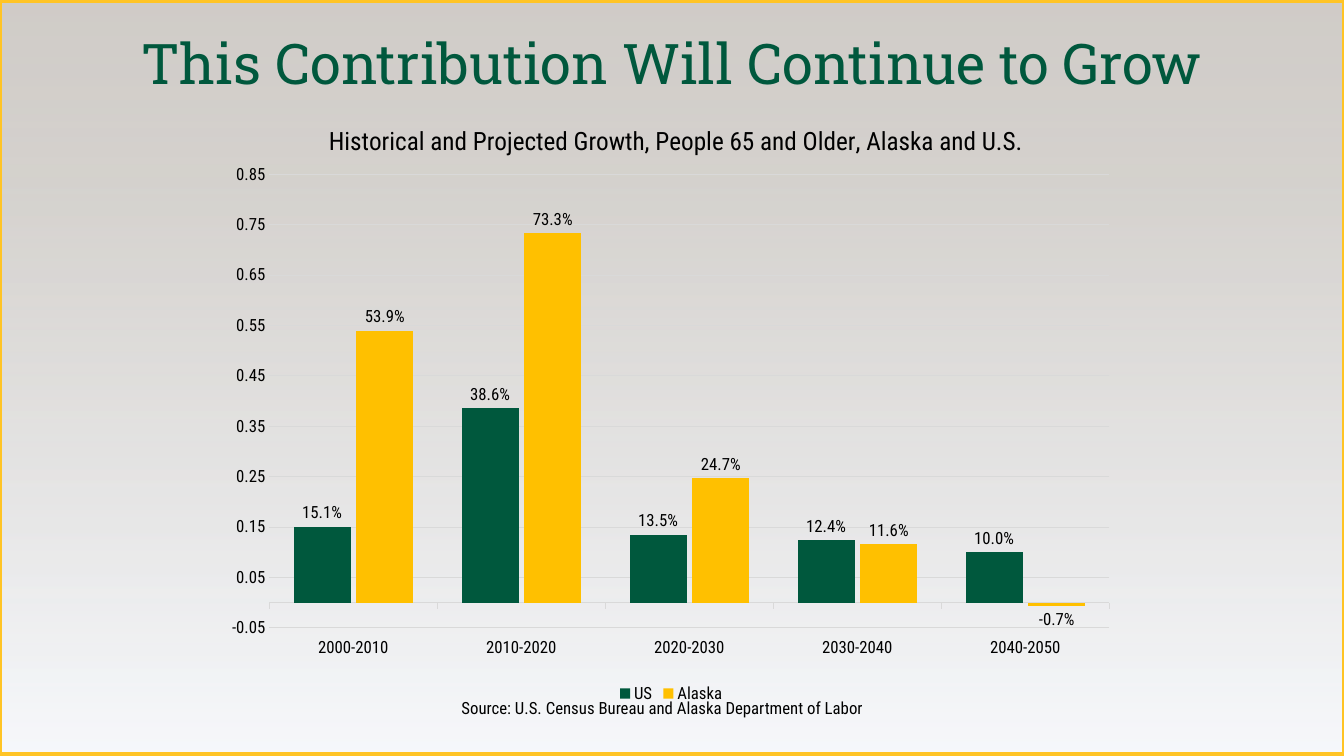
"""Build a slide comparing growth of the 65 and older population in Alaska and the U.S."""
from dataclasses import dataclass

from lxml import etree
from pptx import Presentation
from pptx.chart.data import CategoryChartData
from pptx.dml.color import RGBColor
from pptx.enum.chart import (XL_CHART_TYPE, XL_LABEL_POSITION, XL_LEGEND_POSITION,
                             XL_TICK_LABEL_POSITION, XL_TICK_MARK)
from pptx.enum.shapes import MSO_SHAPE
from pptx.enum.text import MSO_ANCHOR, MSO_AUTO_SIZE, PP_ALIGN
from pptx.oxml import parse_xml
from pptx.oxml.ns import nsdecls, qn
from pptx.util import Cm, Pt

COLUMNS = XL_CHART_TYPE.COLUMN_CLUSTERED
OUTSIDE_END = XL_LABEL_POSITION.OUTSIDE_END
LEGEND_BOTTOM = XL_LEGEND_POSITION.BOTTOM
LABELS_LOW = XL_TICK_LABEL_POSITION.LOW
TICK_NONE, TICK_OUTSIDE = XL_TICK_MARK.NONE, XL_TICK_MARK.OUTSIDE
RECTANGLE = MSO_SHAPE.RECTANGLE
BOTTOM, TOP = MSO_ANCHOR.BOTTOM, MSO_ANCHOR.TOP
CENTER, LEFT = PP_ALIGN.CENTER, PP_ALIGN.LEFT
FIT_NONE, FIT_SHAPE = MSO_AUTO_SIZE.NONE, MSO_AUTO_SIZE.SHAPE_TO_FIT_TEXT

BODY_FONT, TITLE_FONT = "Roboto Condensed", "Roboto Slab"
GREEN, GOLD, BORDER, GRID, BLACK = "00583D", "FFC000", "FFC425", "D9D9D9", "000000"
PAGE_WIDTH, PAGE_HEIGHT = Cm(33.87), Cm(19.05)
PERIODS = ["2000-2010", "2010-2020", "2020-2030", "2030-2040", "2040-2050"]


@dataclass(frozen=True)
class Region:
    """One column series."""
    name: str
    growth: tuple[float, ...]
    color: str


@dataclass(frozen=True)
class Stop:
    """One gradient stop, with position and opacity in percent."""
    position: int
    color: str
    opacity: int


REGIONS = [
    Region("US", (0.151, 0.386, 0.135, 0.124, 0.1), GREEN),
    Region("Alaska", (0.539, 0.733, 0.247, 0.116, -0.007), GOLD),
]
STOPS = [Stop(0, "F6F8FC", 90), Stop(76, "CBC7C2", 80), Stop(100, "CBC7C2", 90)]


def rgb(code: str) -> RGBColor:
    """Turn a hex string into a colour."""
    return RGBColor.from_string(code)


def set_font(font, size: float, color: str = BLACK, name: str = BODY_FONT) -> None:
    """Format a font."""
    font.size, font.name, font.bold = Pt(size), name, False
    font.color.rgb = rgb(color)


def write(frame, text: str, *, size: float, color: str = BLACK, name: str = BODY_FONT,
          align=LEFT, anchor=TOP, fit=FIT_NONE, spacing: float = 1.0) -> None:
    """Write one formatted paragraph into a text frame."""
    frame.word_wrap, frame.auto_size, frame.vertical_anchor = True, fit, anchor
    para = frame.paragraphs[0]
    para.alignment, para.line_spacing = align, spacing
    span = para.add_run()
    span.text = text
    set_font(span.font, size, color, name)


def add_backdrop(page) -> None:
    """Draw the framed gradient that fills the page."""
    panel = page.shapes.add_shape(RECTANGLE, 0, Cm(0.03), PAGE_WIDTH, Cm(18.97))
    panel.shadow.inherit = False
    panel.line.color.rgb, panel.line.width = rgb(BORDER), Pt(3)
    panel.fill.gradient()
    panel.fill.gradient_angle = 90
    stop_list = panel.fill._xPr.find(qn("a:gradFill")).find(qn("a:gsLst"))
    for old_stop in list(stop_list):
        stop_list.remove(old_stop)
    for stop in STOPS:
        entry = etree.SubElement(stop_list, qn("a:gs"), pos=str(stop.position * 1000))
        color = etree.SubElement(entry, qn("a:srgbClr"), val=stop.color)
        etree.SubElement(color, qn("a:alpha"), val=str(stop.opacity * 1000))


def place(element, **fractions: float) -> None:
    """Give a chart part a fixed place in fractions of the chart."""
    target = '<c:layoutTarget val="inner"/>' if "w" in fractions else ""
    modes = "".join(f'<c:{key}Mode val="edge"/>' for key in ("x", "y"))
    sizes = "".join(f'<c:{key} val="{value}"/>' for key, value in fractions.items())
    layout = parse_xml(f'<c:layout {nsdecls("c")}><c:manualLayout>{target}{modes}{sizes}'
                       '</c:manualLayout></c:layout>')
    for old_layout in element.findall(qn("c:layout")):
        element.remove(old_layout)
    text = element.find(qn("c:tx"))
    element.insert(0 if text is None else 1, layout)


def format_axes(chart) -> None:
    """Format both axes and the gridlines."""
    periods, growth = chart.category_axis, chart.value_axis
    for axis in (periods, growth):
        set_font(axis.tick_labels.font, 12)
        axis.minor_tick_mark = TICK_NONE
    periods.major_tick_mark, periods.tick_label_position = TICK_OUTSIDE, LABELS_LOW
    growth.major_tick_mark = TICK_NONE
    growth.minimum_scale, growth.maximum_scale, growth.major_unit = -0.05, 0.85, 0.1
    growth.tick_labels.number_format = "General"
    growth.tick_labels.number_format_is_linked = False
    growth.format.line.fill.background()
    for line in (periods.format.line, growth.major_gridlines.format.line):
        line.color.rgb, line.width = rgb(GRID), Pt(0.75)


def add_growth_chart(page) -> None:
    """Add the column chart of growth by period."""
    data = CategoryChartData(number_format="0.0%")
    data.categories = PERIODS
    for region in REGIONS:
        data.add_series(region.name, region.growth)
    chart = page.shapes.add_chart(COLUMNS, Cm(5.41), Cm(2.39), Cm(23.01), Cm(15.44), data).chart
    set_font(chart.font, 10)
    write(chart.chart_title.text_frame, align=CENTER, size=18,
          text="Historical and Projected Growth, People 65 and Older, Alaska and U.S.")
    chart.chart_title.include_in_layout = False
    place(chart.chart_title._element, x=0.12, y=0.04)
    place(chart._chartSpace.chart.plotArea, x=0.06, y=0.13, w=0.92, h=0.74)
    chart.has_legend = True
    chart.legend.position, chart.legend.include_in_layout = LEGEND_BOTTOM, False
    set_font(chart.legend.font, 12)
    format_axes(chart)
    plot = chart.plots[0]
    plot.gap_width, plot.overlap, plot.vary_by_categories = 85, -10, False
    for region, series in zip(REGIONS, plot.series):
        series.invert_if_negative = False
        series.format.fill.solid()
        series.format.fill.fore_color.rgb = rgb(region.color)
        labels = series.data_labels
        labels.show_value, labels.position = True, OUTSIDE_END
        labels.number_format, labels.number_format_is_linked = "0.0%", False
        set_font(labels.font, 12)


def main() -> None:
    """Build and save the deck."""
    deck = Presentation()
    deck.slide_width, deck.slide_height = PAGE_WIDTH, PAGE_HEIGHT
    page = deck.slides.add_slide(deck.slide_layouts[5])
    title = page.shapes.title
    add_backdrop(page)
    add_growth_chart(page)
    title.left, title.top, title.width, title.height = 0, Cm(0.64), PAGE_WIDTH, Cm(1.93)
    write(title.text_frame, "This Contribution Will Continue to Grow", size=40, color=GREEN,
          name=TITLE_FONT, align=CENTER, anchor=BOTTOM, spacing=0.9)
    page.shapes._spTree.append(title._element)
    source = page.shapes.add_textbox(Cm(11.38), Cm(17.45), Cm(11.1), Cm(0.77))
    write(source.text_frame, "Source: U.S. Census Bureau and Alaska Department of Labor",
          size=12, fit=FIT_SHAPE)
    deck.save("out.pptx")


if __name__ == "__main__":
    main()
